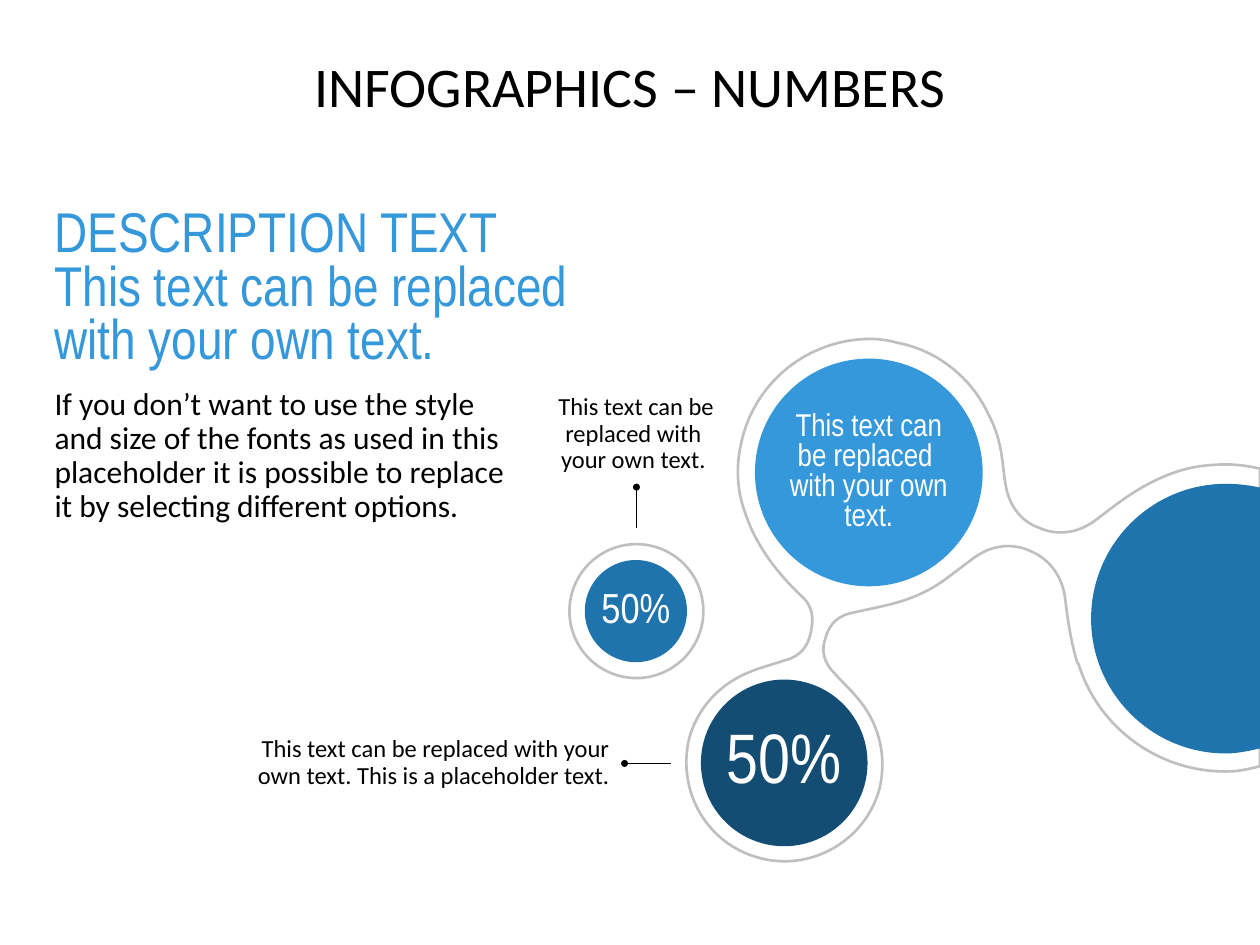
"""Build the numbers infographic slide."""
from copy import deepcopy

from lxml.etree import SubElement
from pptx import Presentation
from pptx.dml.color import RGBColor
from pptx.enum.shapes import MSO_CONNECTOR, MSO_SHAPE
from pptx.enum.text import MSO_ANCHOR, PP_ALIGN
from pptx.oxml.ns import qn
from pptx.util import Cm, Pt

BLACK, WHITE, GREY = "000000", "FFFFFF", "BFBFBF"
LIGHT_BLUE, BLUE, DARK_BLUE = "3498DB", "1F74AD", "144D73"
NARROW, BODY = "Arial Narrow", "Calibri"
INCH = 2.54

CONTOUR = [
    (6.91, 2.69),
    (6.97, 2.69, 7.05, 2.7, 7.12, 2.72),
    (7.44, 2.78, 7.71, 3, 7.84, 3.28),
    (7.96, 3.5, 7.95, 3.67, 7.98, 3.84),
    (8.01, 4.04, 8.13, 4.15, 8.25, 4.19),
    (8.36, 4.24, 8.52, 4.25, 8.68, 4.14),
    (8.8, 4.05, 8.92, 3.95, 9.08, 3.86),
    (9.24, 3.77, 9.42, 3.7, 9.63, 3.69),
    (9.75, 3.68, 9.88, 3.69, 10, 3.72),
    (10, 6.08),
    (9.94, 6.1, 9.87, 6.11, 9.81, 6.12),
    (9.23, 6.16, 8.72, 5.79, 8.56, 5.27),
    (8.55, 5.27, 8.55, 5.26, 8.55, 5.26),
    (8.55, 5.26, 8.55, 5.26, 8.55, 5.26),
    (8.49, 5.06, 8.47, 4.88, 8.45, 4.72),
    (8.41, 4.52, 8.29, 4.42, 8.17, 4.37),
    (8.06, 4.32, 7.9, 4.31, 7.74, 4.42),
    (7.66, 4.48, 7.58, 4.54, 7.5, 4.6),
    (7.24, 4.79, 6.98, 4.81, 6.74, 4.87),
    (6.62, 4.9, 6.57, 4.99, 6.55, 5.07),
    (6.52, 5.15, 6.53, 5.25, 6.62, 5.34),
    (6.68, 5.41, 6.76, 5.48, 6.83, 5.57),
    (6.98, 5.76, 7.04, 6.01, 6.98, 6.26),
    (6.87, 6.67, 6.44, 6.92, 6.03, 6.81),
    (5.61, 6.7, 5.37, 6.28, 5.47, 5.86),
    (5.53, 5.64, 5.68, 5.47, 5.87, 5.37),
    (6.01, 5.3, 6.12, 5.28, 6.23, 5.24),
    (6.36, 5.21, 6.41, 5.12, 6.43, 5.04),
    (6.45, 4.96, 6.47, 4.84, 6.38, 4.75),
    (6.3, 4.67, 6.03, 4.43, 5.91, 4.06),
    (5.85, 3.89, 5.84, 3.71, 5.88, 3.53),
    (5.98, 3.03, 6.42, 2.69, 6.91, 2.69),
]
CUT_DISC = [
    (9.73, 3.84),
    (9.82, 3.84, 9.91, 3.85, 10, 3.87),
    (10, 5.94),
    (9.91, 5.96, 9.82, 5.98, 9.73, 5.98),
    (9.14, 5.98, 8.66, 5.5, 8.66, 4.91),
    (8.66, 4.32, 9.14, 3.84, 9.73, 3.84),
]


def color(hex_string):
    """Return the colour for a hex string."""
    return RGBColor.from_string(hex_string)


def write_text(frame, text, *, size, font=BODY, fill=BLACK, align=PP_ALIGN.LEFT,
               spacing=0.9, after=10):
    """Append a formatted paragraph, filling the first one if it is empty."""
    paragraph = frame.paragraphs[0]
    if paragraph.runs:
        paragraph = frame.add_paragraph()
    paragraph.text = text
    paragraph.alignment = align
    paragraph.line_spacing = spacing
    paragraph.space_after = Pt(after)
    for run in paragraph.runs:
        run.font.size = Pt(size)
        run.font.name = font
        run.font.color.rgb = color(fill)
    for line_break in paragraph._p.findall(qn("a:br")):
        line_break.append(deepcopy(paragraph.runs[0]._r.rPr))


def prepare_frame(frame, anchor, right=0, bottom=0):
    """Set wrapping, anchor and insets of a text frame."""
    frame.word_wrap = True
    frame.vertical_anchor = anchor
    frame.margin_left = frame.margin_top = 0
    frame.margin_right, frame.margin_bottom = Cm(right), Cm(bottom)
    return frame


def add_text_box(slide, left, top, width, height, anchor=MSO_ANCHOR.TOP, **insets):
    """Add a text box and return its frame."""
    box = slide.shapes.add_textbox(Cm(left), Cm(top), Cm(width), Cm(height))
    return prepare_frame(box.text_frame, anchor, **insets)


def style_shape(shape, fill=None, line=None):
    """Give a shape its fill and outline, without a shadow."""
    shape.shadow.inherit = False
    if fill:
        shape.fill.solid()
        shape.fill.fore_color.rgb = color(fill)
    else:
        shape.fill.background()
    if line:
        shape.line.color.rgb = color(line)
        shape.line.width = Pt(1.5)
    else:
        shape.line.fill.background()


def add_circle(slide, left, top, diameter, **style):
    """Add a circle and return its text frame."""
    circle = slide.shapes.add_shape(
        MSO_SHAPE.OVAL, Cm(left), Cm(top), Cm(diameter), Cm(diameter))
    style_shape(circle, **style)
    return prepare_frame(circle.text_frame, MSO_ANCHOR.MIDDLE)


def add_label_circle(slide, left, top, diameter, fill, text, size, after=10):
    """Add a filled circle with white centred text."""
    frame = add_circle(slide, left, top, diameter, fill=fill)
    write_text(frame, text, size=size, font=NARROW, fill=WHITE,
               align=PP_ALIGN.CENTER, spacing=0.8, after=after)


def add_outline(slide, segments, bounds, **style):
    """Add a closed freeform of lines and cubic curves, given in inches."""
    left, top, right, bottom = (Cm(edge * INCH) for edge in bounds)
    builder = slide.shapes.build_freeform(left, top, scale=1.0)
    builder.add_line_segments([(right, top), (right, bottom), (left, bottom)])
    shape = builder.convert_to_shape()
    path = next(shape._element.iter(qn("a:path")))
    for command in list(path):
        path.remove(command)
    for index, segment in enumerate(segments):
        curve_tag = "a:cubicBezTo" if len(segment) == 6 else "a:lnTo"
        command = SubElement(path, qn(curve_tag if index else "a:moveTo"))
        for x, y in zip(segment[::2], segment[1::2]):
            SubElement(command, qn("a:pt"),
                       x=str(Cm(x * INCH) - left), y=str(Cm(y * INCH) - top))
    SubElement(path, qn("a:close"))
    style_shape(shape, **style)


def add_pointer(slide, x1, y1, x2, y2):
    """Add a thin line that ends in a dot."""
    pointer = slide.shapes.add_connector(
        MSO_CONNECTOR.STRAIGHT, Cm(x1), Cm(y1), Cm(x2), Cm(y2))
    pointer.line.color.rgb = color(BLACK)
    pointer.line.width = Pt(0.5)
    SubElement(pointer.line._get_or_add_ln(), qn("a:tailEnd"),
               type="oval", w="sm", len="sm")
    SubElement(pointer._element.spPr, qn("a:effectLst"))


def main():
    """Build and save the slide."""
    presentation = Presentation()
    presentation.slide_width, presentation.slide_height = Cm(25.4), Cm(19.05)
    slide = presentation.slides.add_slide(presentation.slide_layouts[6])

    title = add_text_box(slide, 1.1, 1.19, 23.2, 3)
    write_text(title, "INFOGRAPHICS – NUMBERS", size=32, align=PP_ALIGN.CENTER, after=0)

    description = add_text_box(slide, 1.1, 4.22, 12.45, 11.76)
    write_text(description,
               "DESCRIPTION TEXT\nThis text can be replaced \nwith your own text.",
               size=32, font=NARROW, fill=LIGHT_BLUE, spacing=0.8)
    write_text(description,
               "If you don’t want to use the style \nand size of the fonts as used in this \n"
               "placeholder it is possible to replace \nit by selecting different options.",
               size=18)

    add_outline(slide, CONTOUR, (5.45, 2.69, 10, 6.83), line=GREY)
    add_label_circle(slide, 15.22, 7.23, 4.59, LIGHT_BLUE,
                     "This text can be replaced \nwith your own text.", 18)
    add_label_circle(slide, 14.13, 13.7, 3.36, DARK_BLUE, "50%", 40)
    add_outline(slide, CUT_DISC, (8.66, 3.84, 10, 5.98), fill=BLUE)
    add_circle(slide, 11.48, 10.97, 2.7, line=GREY)
    add_label_circle(slide, 11.79, 11.29, 2.06, BLUE, "50%", 24, after=0)

    add_pointer(slide, 12.83, 10.64, 12.83, 9.82)
    upper_label = add_text_box(slide, 10.83, 7.99, 3.99, 1.83, MSO_ANCHOR.MIDDLE, bottom=0.3)
    write_text(upper_label, "This text can be replaced with \nyour own text. ",
               size=14, align=PP_ALIGN.CENTER)

    add_pointer(slide, 13.53, 15.39, 12.59, 15.39)
    lower_label = add_text_box(slide, 5.1, 14.47, 7.49, 1.83, MSO_ANCHOR.MIDDLE, right=0.3)
    write_text(lower_label,
               "This text can be replaced with your own text. This is a placeholder text. ",
               size=14, align=PP_ALIGN.RIGHT)

    presentation.save("out.pptx")


if __name__ == "__main__":
    main()
